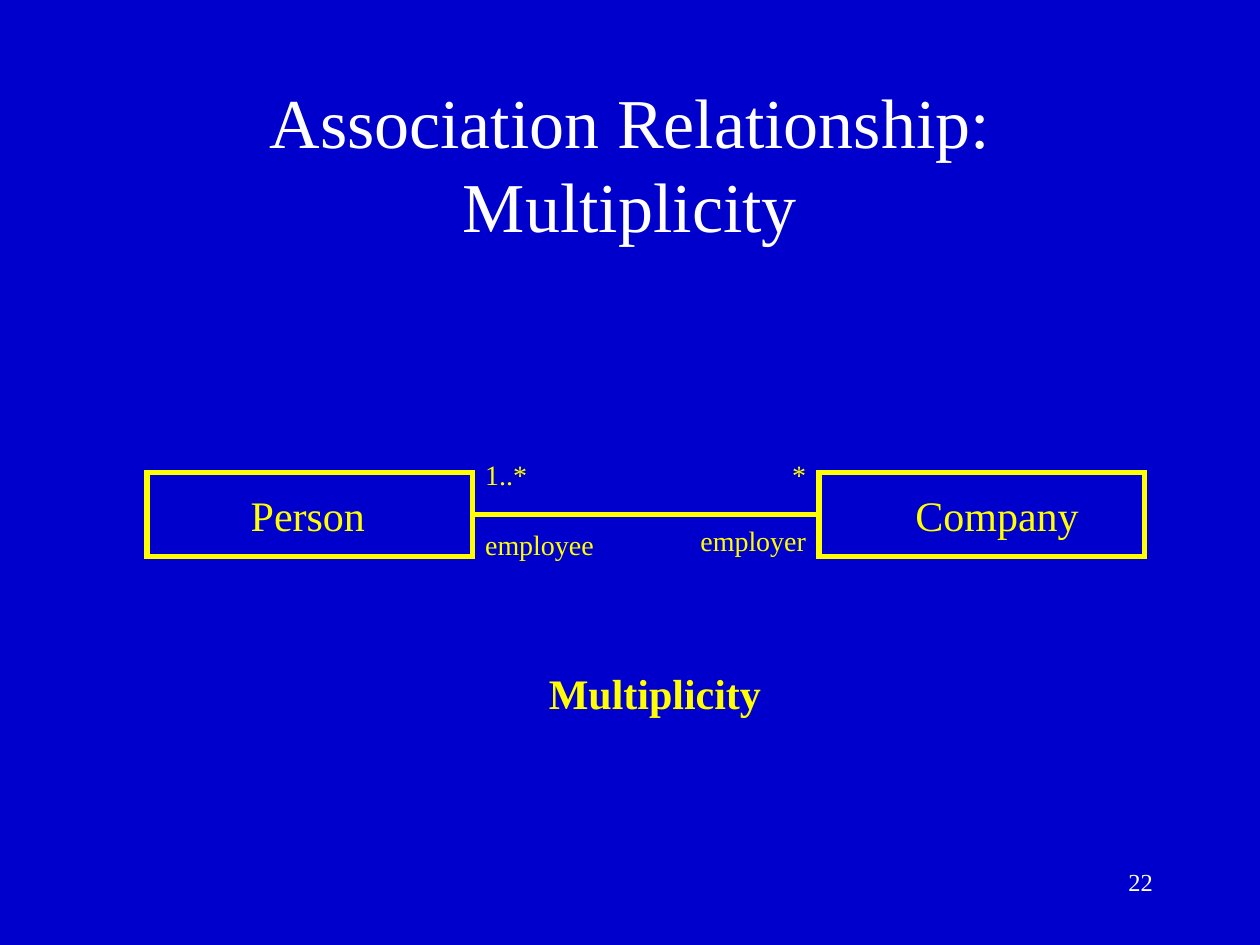
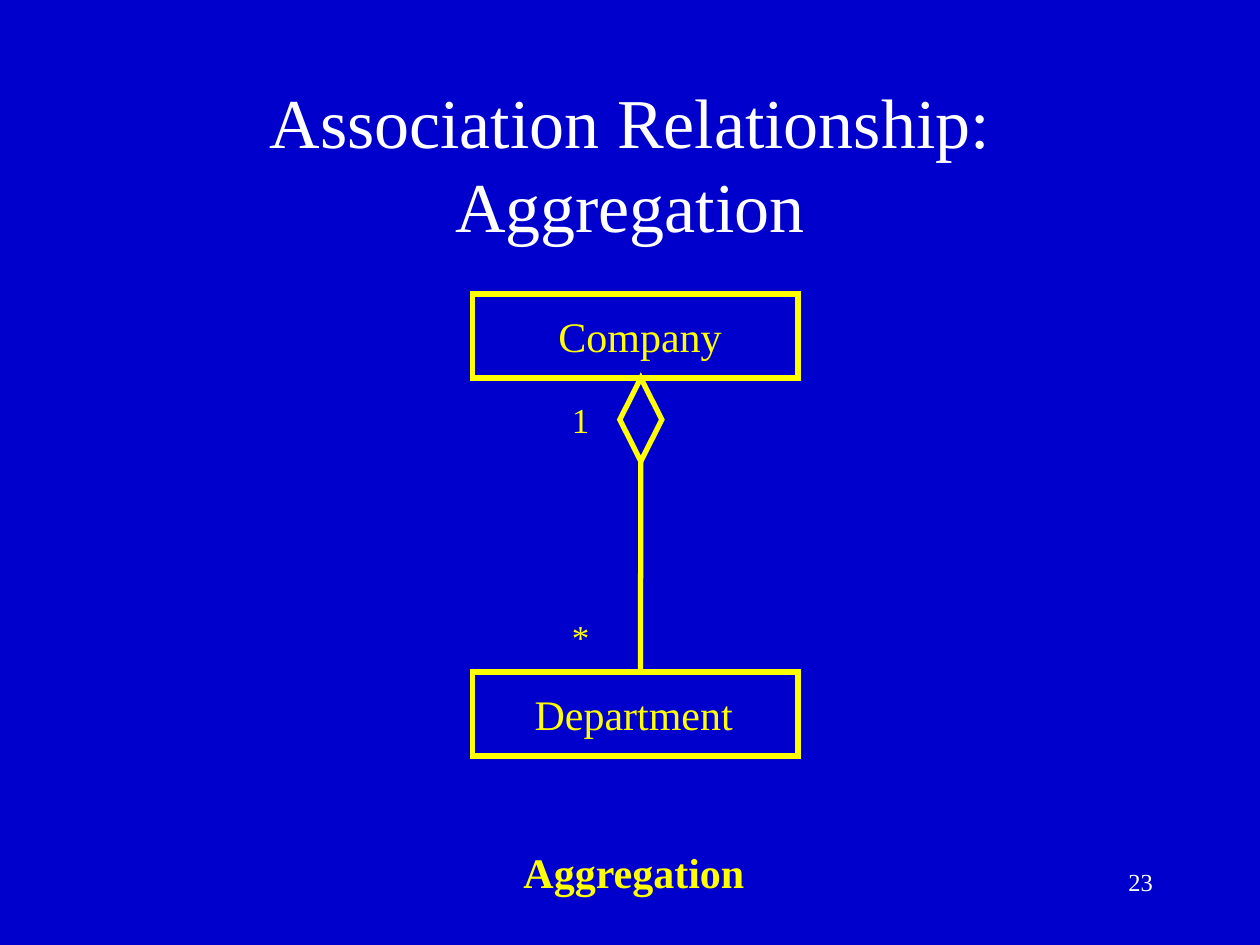
"""Builds two UML slides on association: multiplicity and aggregation."""
from lxml.etree import SubElement
from pptx import Presentation
from pptx.dml.color import RGBColor
from pptx.enum.shapes import MSO_CONNECTOR, MSO_SHAPE
from pptx.enum.text import MSO_ANCHOR, MSO_AUTO_SIZE, PP_ALIGN
from pptx.oxml.ns import qn
from pptx.util import Pt

BLUE = RGBColor(0x00, 0x00, 0xCC)
YELLOW = RGBColor(0xFF, 0xFF, 0x00)
WHITE = RGBColor(0xFF, 0xFF, 0xFF)
FONT = "Times New Roman"
LINE_WIDTH = Pt(3)
CLASS_WIDTH, CLASS_HEIGHT = 186, 48

WRAPPED = {"word_wrap": True, "auto_size": MSO_AUTO_SIZE.NONE}
FITTED = {"word_wrap": False, "auto_size": MSO_AUTO_SIZE.SHAPE_TO_FIT_TEXT}
STYLES = {
    "title": {
        "color": WHITE,
        "font": {"size": Pt(40)},
        "paragraph": {"alignment": PP_ALIGN.CENTER, "line_spacing": Pt(48)},
        "frame": {**WRAPPED, "vertical_anchor": MSO_ANCHOR.MIDDLE},
    },
    "number": {
        "color": WHITE,
        "font": {"size": Pt(14)},
        "paragraph": {"alignment": PP_ALIGN.RIGHT},
        "frame": WRAPPED,
    },
    "caption": {
        "color": YELLOW,
        "font": {"size": Pt(24), "bold": True},
        "paragraph": {"alignment": PP_ALIGN.CENTER},
        "frame": FITTED,
    },
}
for style_name, size in (("class", 24), ("count", 20), ("role", 16)):
    STYLES[style_name] = {
        "color": YELLOW,
        "font": {"size": Pt(size)},
        "paragraph": {"alignment": PP_ALIGN.LEFT},
        "frame": FITTED,
    }


def add_text(slide, style_name, words, left, top, width, height):
    style = STYLES[style_name]
    frame = slide.shapes.add_textbox(Pt(left), Pt(top), Pt(width), Pt(height)).text_frame
    frame.text = words
    paragraph = frame.paragraphs[0]
    font = paragraph.runs[0].font
    font.name = FONT
    font.color.rgb = style["color"]
    for target, part in ((frame, "frame"), (paragraph, "paragraph"), (font, "font")):
        for attribute, value in style[part].items():
            setattr(target, attribute, value)


def add_outline(slide, kind, left, top, width=CLASS_WIDTH, height=CLASS_HEIGHT):
    outline = slide.shapes.add_shape(kind, Pt(left), Pt(top), Pt(width), Pt(height))
    outline.shadow.inherit = False
    outline.fill.background()
    outline.line.color.rgb = YELLOW
    outline.line.width = LINE_WIDTH
    SubElement(outline._element.spPr.find(qn("a:ln")), qn("a:miter"), lim="800000")
    return outline


deck = Presentation()
deck.slide_width, deck.slide_height = Pt(720), Pt(540)
backdrop = deck.slide_master.background.fill
backdrop.solid()
backdrop.fore_color.rgb = BLUE

slides = []
for number, topic in enumerate(("Multiplicity", "Aggregation"), start=22):
    slide = deck.slides.add_slide(deck.slide_layouts[6])
    add_text(slide, "title", f"Association Relationship: {topic}", 54, 48, 612, 90)
    add_text(slide, "number", str(number), 516, 492, 150, 36)
    slides.append(slide)
multiplicity, aggregation = slides

person = add_outline(multiplicity, MSO_SHAPE.RECTANGLE, 84, 270)
company = add_outline(multiplicity, MSO_SHAPE.RECTANGLE, 468, 270)
employment = multiplicity.shapes.add_connector(
    MSO_CONNECTOR.STRAIGHT, Pt(270), Pt(294), Pt(468), Pt(294))
employment.begin_connect(person, 3)
employment.end_connect(company, 1)

add_outline(aggregation, MSO_SHAPE.RECTANGLE, 270, 168)
add_outline(aggregation, MSO_SHAPE.RECTANGLE, 270, 384)
diamond = add_outline(aggregation, MSO_SHAPE.DIAMOND, 354.2, 216, 24, 47.6)
ownership = aggregation.shapes.add_connector(
    MSO_CONNECTOR.STRAIGHT, Pt(366), Pt(264), Pt(366), Pt(384))
ownership.begin_connect(diamond, 2)

for association in (employment, ownership):
    association.line.color.rgb = YELLOW
    association.line.width = LINE_WIDTH
    SubElement(association._element.spPr, qn("a:effectLst"))

for slide, style_name, words, left, top, width, height in (
    (multiplicity, "class", "Person", 136.2, 276, 81, 36),
    (multiplicity, "class", "Company", 516, 276, 109, 36),
    (multiplicity, "role", "1..*", 270.2, 258, 40, 26.6),
    (multiplicity, "role", "employee", 270.2, 298, 78, 26.6),
    (multiplicity, "role", "*", 445.6, 258, 23, 26.6),
    (multiplicity, "role", "employer", 393.2, 295.5, 76, 26.6),
    (multiplicity, "caption", "Multiplicity", 306, 378, 136.5, 36),
    (aggregation, "class", "Company", 312, 174, 109, 36),
    (aggregation, "class", "Department", 298.4, 390, 129, 36),
    (aggregation, "count", "1", 319.7, 224, 25, 31.5),
    (aggregation, "count", "*", 319.7, 348, 25, 31.5),
    (aggregation, "caption", "Aggregation", 291.2, 480, 142, 36),
):
    add_text(slide, style_name, words, left, top, width, height)

deck.save("out.pptx")
